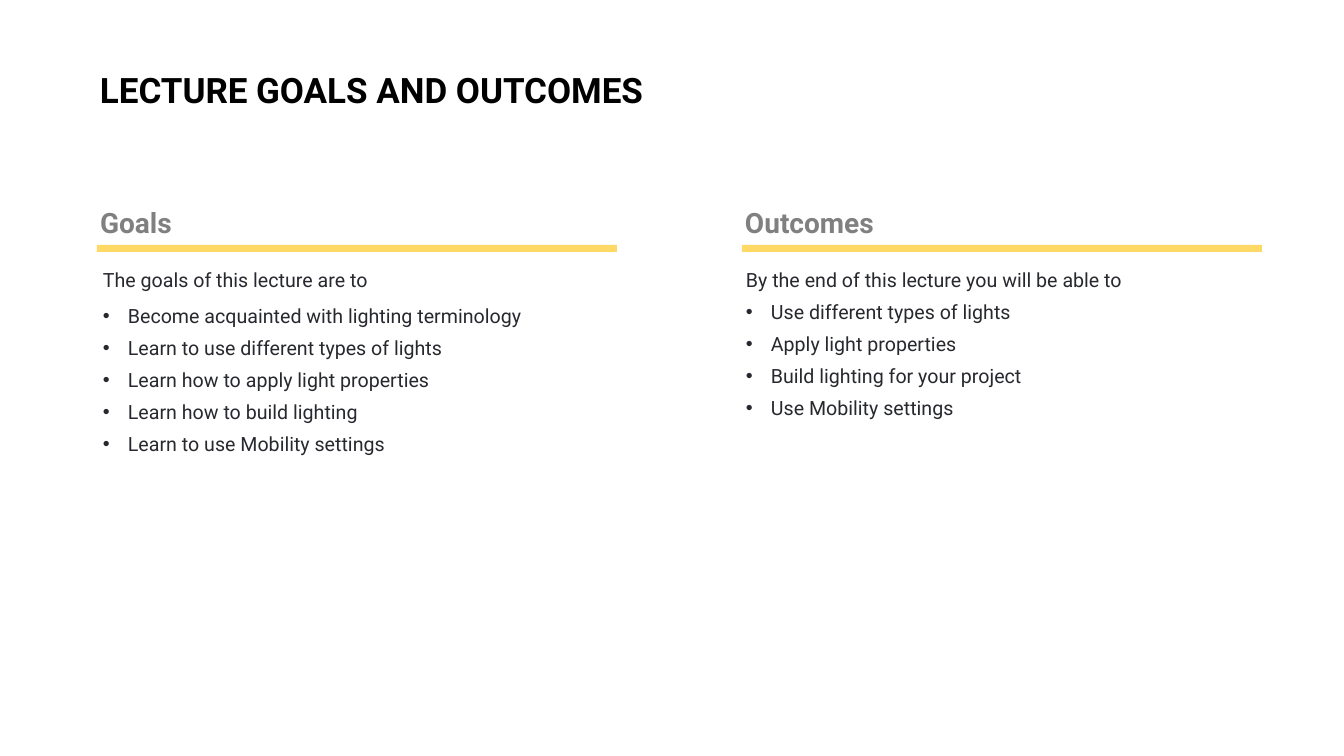
import dataclasses

import pptx
import pptx.dml.color
import pptx.enum.shapes
import pptx.enum.text
import pptx.util
from pptx.oxml.xmlchemy import OxmlElement


@dataclasses.dataclass(frozen=True)
class Theme:
    font: str = "Roboto"
    title_size: int = 25
    heading_size: int = 20
    body_size: int = 14
    title_color: str = "000000"
    heading_color: str = "808080"
    body_color: str = "27292E"
    bar_color: str = "FFD966"


theme = Theme()
EMU_PER_PX = 914400 / 100.8
BODY_INDENT = 25
COLUMN_WIDTH = 520


def px(length):
    return pptx.util.Emu(round(length * EMU_PER_PX))


def add_label(slide, text, left, top, width, height, size, color):
    """Add a bold one-line text box that grows with its text."""
    label = slide.shapes.add_textbox(px(left), px(top), px(width), px(height))
    frame = label.text_frame
    frame.word_wrap = False
    frame.auto_size = pptx.enum.text.MSO_AUTO_SIZE.SHAPE_TO_FIT_TEXT
    frame.margin_left = frame.margin_top = px(3)
    frame.margin_right = frame.margin_bottom = px(3)
    run = frame.paragraphs[0].add_run()
    run.text = text
    run.font.name = theme.font
    run.font.size = pptx.util.Pt(size)
    run.font.bold = True
    run.font.color.rgb = pptx.dml.color.RGBColor.from_string(color)


columns = [
    {
        "heading": "Goals", "heading_width": 84, "left": 97, "body_left": 93,
        "intro": "The goals of this lecture are to", "intro_space_after": 6,
        "bullets": [
            "Become acquainted with lighting terminology",
            "Learn to use different types of lights",
            "Learn how to apply light properties",
            "Learn how to build lighting",
            "Learn to use Mobility settings",
        ],
    },
    {
        "heading": "Outcomes", "heading_width": 144, "left": 742, "body_left": 736,
        "intro": "By the end of this lecture you will be able to", "intro_space_after": 3,
        "bullets": [
            "Use different types of lights",
            "Apply light properties",
            "Build lighting for your project",
            "Use Mobility settings",
        ],
    },
]

presentation = pptx.Presentation()
presentation.slide_width = px(1344)
presentation.slide_height = px(756)
slide = presentation.slides.add_slide(presentation.slide_layouts[6])

add_label(slide, "LECTURE GOALS AND OUTCOMES", 97, 66, 609, 48,
          theme.title_size, theme.title_color)

for column in columns:
    add_label(slide, column["heading"], column["left"], 202, column["heading_width"], 39,
              theme.heading_size, theme.heading_color)

    bar = slide.shapes.add_shape(pptx.enum.shapes.MSO_SHAPE.RECTANGLE,
                                 px(column["left"]), px(245), px(COLUMN_WIDTH), px(7))
    bar.shadow.inherit = False
    bar.fill.solid()
    bar.fill.fore_color.rgb = pptx.dml.color.RGBColor.from_string(theme.bar_color)
    bar.line.fill.background()

    body = slide.shapes.add_textbox(px(column["body_left"]), px(263), px(COLUMN_WIDTH), px(493))
    frame = body.text_frame
    frame.word_wrap = True
    for index, text in enumerate([column["intro"], *column["bullets"]]):
        if index == 0:
            paragraph = frame.paragraphs[0]
            paragraph.space_after = pptx.util.Pt(column["intro_space_after"])
        else:
            paragraph = frame.add_paragraph()
            paragraph.space_before = pptx.util.Pt(3)
            paragraph.space_after = pptx.util.Pt(3)
            properties = paragraph._p.get_or_add_pPr()
            properties.set("marL", str(px(BODY_INDENT)))
            properties.set("indent", str(-px(BODY_INDENT)))
            bullet_font = OxmlElement("a:buFont")
            bullet_font.set("typeface", "Arial")
            bullet = OxmlElement("a:buChar")
            bullet.set("char", "•")
            properties.extend([bullet_font, bullet])
        run = paragraph.add_run()
        run.text = text
        run.font.name = theme.font
        run.font.size = pptx.util.Pt(theme.body_size)
        run.font.color.rgb = pptx.dml.color.RGBColor.from_string(theme.body_color)

presentation.save("out.pptx")
